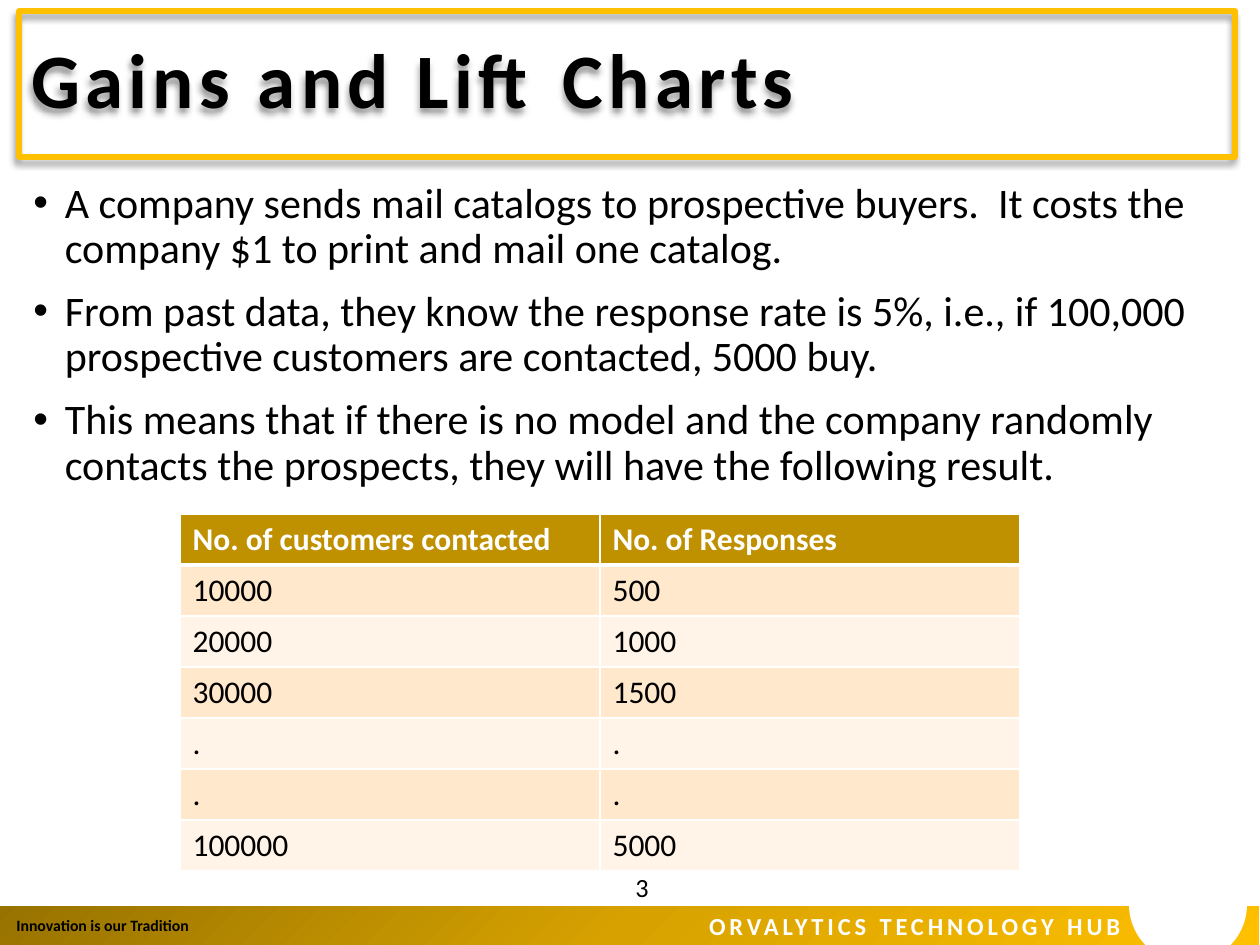
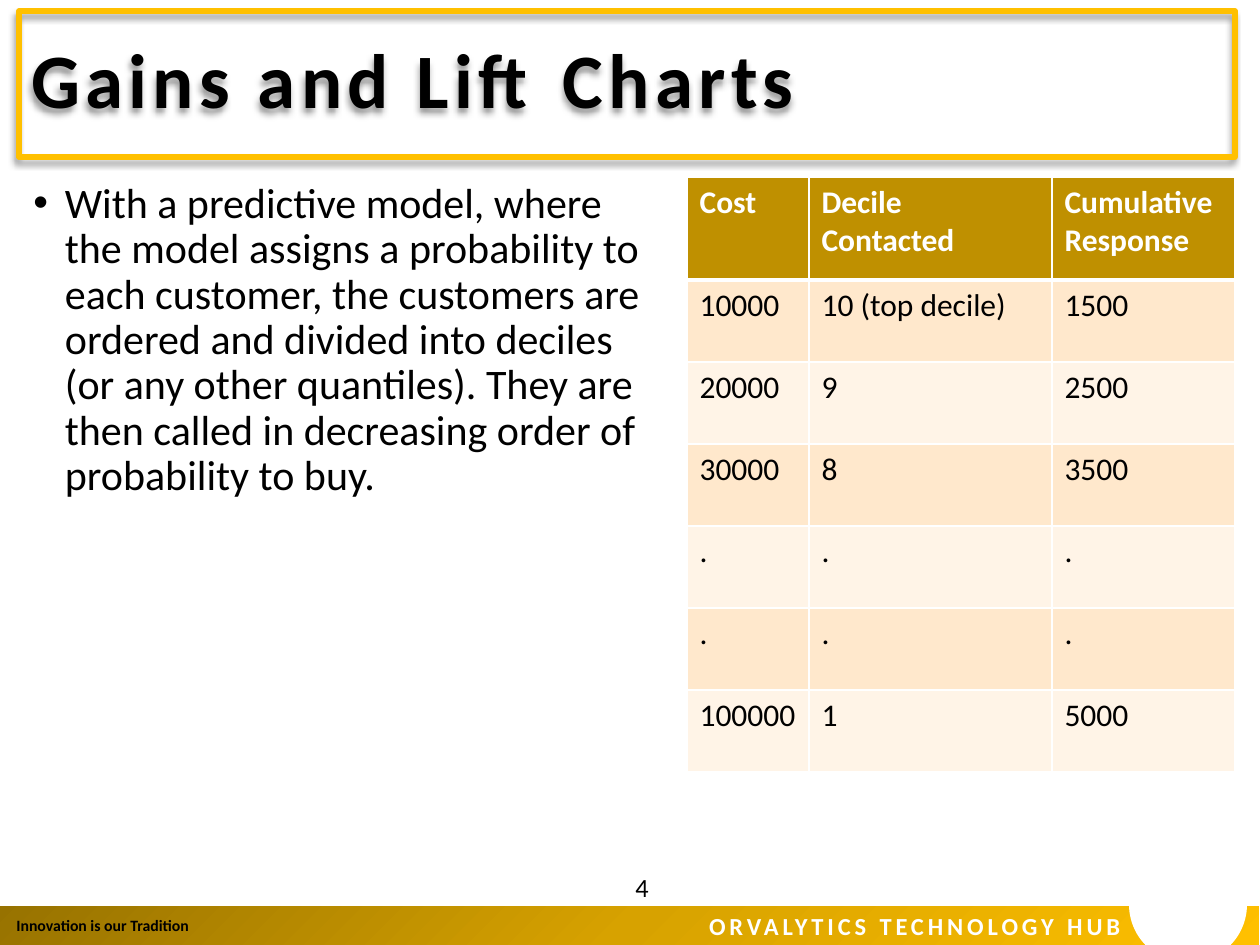
from pptx import Presentation
from pptx.dml.color import RGBColor
from pptx.enum.shapes import MSO_SHAPE
from pptx.enum.text import MSO_ANCHOR, PP_ALIGN
from pptx.oxml import parse_xml
from pptx.oxml.ns import nsdecls
from pptx.util import Pt

EMU_PER_PX = 914400 / 126
PAGE_WIDTH, PAGE_HEIGHT = 1260, 945
FONT = "Calibri"
COLORS = {
    "black": "000000",
    "white": "FFFFFF",
    "gold": "FFC000",
    "mid_gold": "D7A200",
    "dark_gold": "977200",
    "header": "BF9000",
    "odd_row": "FFE8CC",
    "even_row": "FFF4E7",
}
TITLE_BOX = (19, 11, 1216, 146)
FOOTER_BOX = (-3, 905, 1263, 41)


def px(length):
    return round(length * EMU_PER_PX)


def emu(box):
    return [px(length) for length in box]


def color(name):
    return RGBColor.from_string(COLORS[name])


def add_span(para, text, size, color_name="black", bold=False, spacing=0):
    span = para.add_run()
    span.text = text
    span.font.name = FONT
    span.font.size = Pt(size)
    span.font.bold = bold
    span.font.color.rgb = color(color_name)
    if spacing:
        span.font._element.set("spc", str(round(spacing * 100)))


def add_text_frame(page, box, wrap=True, anchor=MSO_ANCHOR.TOP):
    frame = page.shapes.add_textbox(*emu(box)).text_frame
    frame.word_wrap = wrap
    frame.vertical_anchor = anchor
    return frame


def add_plain_shape(page, kind, box):
    shape = page.shapes.add_shape(kind, *emu(box))
    shape.shadow.inherit = False
    return shape


def fill_with_gradient(shape, color_names):
    """Spread the colours evenly along a diagonal, starting at the left."""
    last = len(color_names) - 1
    stops = "".join(
        f'<a:gs pos="{100000 * index // last}"><a:srgbClr val="{COLORS[name]}"/></a:gs>'
        for index, name in enumerate(color_names)
    )
    properties = shape._element.spPr
    properties.prstGeom.addnext(parse_xml(
        f'<a:gradFill {nsdecls("a")} rotWithShape="1"><a:gsLst>{stops}</a:gsLst>'
        '<a:lin ang="2700000" scaled="0"/></a:gradFill>'
    ))


def add_title(page, text, box):
    frame_shape = add_plain_shape(page, MSO_SHAPE.RECTANGLE, box)
    frame_shape.fill.background()
    frame_shape.line.color.rgb = color("gold")
    frame_shape.line.width = Pt(3)
    effects = frame_shape._element.spPr.find(
        "{http://schemas.openxmlformats.org/drawingml/2006/main}effectLst")
    effects.append(parse_xml(
        f'<a:outerShdw {nsdecls("a")} blurRad="{Pt(4)}" dist="{Pt(3)}" dir="8100000"'
        f' rotWithShape="0"><a:srgbClr val="{COLORS["black"]}">'
        '<a:alpha val="40000"/></a:srgbClr></a:outerShdw>'
    ))
    frame = frame_shape.text_frame
    frame.word_wrap = True
    frame.vertical_anchor = MSO_ANCHOR.MIDDLE
    para = frame.paragraphs[0]
    para.alignment = PP_ALIGN.LEFT
    para.line_spacing = 0.9
    add_span(para, text, 44, bold=True, spacing=3)


def add_footer(page, number, box):
    left, top, width, height = box
    band = add_plain_shape(page, MSO_SHAPE.RECTANGLE, box)
    fill_with_gradient(band, ["dark_gold", "mid_gold", "gold"])
    band.line.color.rgb = color("white")
    band.line.width = Pt(1)

    owner = add_text_frame(page, (left + 246, top, 890, height + 2)).paragraphs[0]
    owner.alignment = PP_ALIGN.RIGHT
    add_span(owner, "ORVALYTICS TECHNOLOGY HUB", 14, "white", True, 2.2)

    tagline = add_text_frame(page, (left + 7, top + 5, 203, 32), wrap=False)
    add_span(tagline.paragraphs[0], "Innovation is our Tradition", 9, bold=True)

    number_box = (left + 503, top - 43, 284, 50)
    para = add_text_frame(page, number_box, anchor=MSO_ANCHOR.MIDDLE).paragraphs[0]
    para.alignment = PP_ALIGN.CENTER
    add_span(para, str(number), 15)

    notch = add_plain_shape(page, MSO_SHAPE.OVAL, (left + 1132, top - 59, 118, 117))
    notch.fill.solid()
    notch.fill.fore_color.rgb = color("white")
    notch.line.fill.background()


def add_bullets(page, texts, box):
    frame = add_text_frame(page, box)
    for index, text in enumerate(texts):
        para = frame.paragraphs[0] if index == 0 else frame.add_paragraph()
        para.line_spacing = 0.9
        para.space_before = Pt(10)
        properties = para._p.get_or_add_pPr()
        properties.set("marL", str(Pt(18)))
        properties.set("indent", str(-Pt(18)))
        properties.append(parse_xml(f'<a:buFont {nsdecls("a")} typeface="Arial"/>'))
        properties.append(parse_xml(f'<a:buChar {nsdecls("a")} char="•"/>'))
        add_span(para, text, 24)


def add_cell_borders(cell, bottom, top):
    properties = cell._tc.get_or_add_tcPr()
    for side, points in (("L", 1), ("R", 1), ("T", top), ("B", bottom)):
        properties.append(parse_xml(
            f'<a:ln{side} {nsdecls("a")} w="{Pt(points)}"><a:solidFill>'
            f'<a:srgbClr val="{COLORS["white"]}"/></a:solidFill></a:ln{side}>'
        ))


def add_data_table(page, rows, corner, column_widths, header_height, row_height):
    heights = [header_height] + [row_height] * (len(rows) - 1)
    size = (sum(column_widths), sum(heights))
    table = page.shapes.add_table(
        len(rows), len(column_widths), *emu(corner + size)).table
    for column, width in zip(table.columns, column_widths):
        column.width = px(width)
    for row_index, values in enumerate(rows):
        table.rows[row_index].height = px(heights[row_index])
        is_header = row_index == 0
        band = "odd_row" if row_index % 2 else "even_row"
        for column_index, value in enumerate(values):
            cell = table.cell(row_index, column_index)
            add_cell_borders(cell, bottom=3 if is_header else 1,
                             top=3 if row_index == 1 else 1)
            cell.fill.solid()
            cell.fill.fore_color.rgb = color("header" if is_header else band)
            add_span(cell.text_frame.paragraphs[0], value, 18,
                     "white" if is_header else "black", is_header)


def add_page(deck, number):
    page = deck.slides.add_slide(deck.slide_layouts[6])
    add_footer(page, number, FOOTER_BOX)
    add_title(page, "Gains and Lift Charts", TITLE_BOX)
    return page


def add_random_contact_page(deck):
    page = add_page(deck, 3)
    add_bullets(page, [
        "A company sends mail catalogs to prospective buyers.  It costs the "
        "company $1 to print and mail one catalog.",
        "From past data, they know the response rate is 5%, i.e., if 100,000 "
        "prospective customers are contacted, 5000 buy.",
        "This means that if there is no model and the company randomly "
        "contacts the prospects, they will have the following result.",
    ], (21, 176, 1212, 680))
    add_data_table(page, [
        ("No. of customers contacted", "No. of Responses"),
        ("10000", "500"),
        ("20000", "1000"),
        ("30000", "1500"),
        (".", "."),
        (".", "."),
        ("100000", "5000"),
    ], (180, 514), (420, 420), 51, 51)


def add_model_page(deck):
    page = add_page(deck, 4)
    add_bullets(page, [
        "With a predictive model, where the model assigns a probability to "
        "each customer, the customers are ordered and divided into deciles "
        "(or any other quantiles). They are then called in decreasing order "
        "of probability to buy.",
    ], (21, 176, 638, 680))
    add_data_table(page, [
        ("Cost", "Decile Contacted", "Cumulative Response"),
        ("10000", "10 (top decile)", "1500"),
        ("20000", "9", "2500"),
        ("30000", "8", "3500"),
        (".", ".", "."),
        (".", ".", "."),
        ("100000", "1", "5000"),
    ], (687, 177), (122, 243, 183), 103, 82)


def main():
    deck = Presentation()
    deck.slide_width = px(PAGE_WIDTH)
    deck.slide_height = px(PAGE_HEIGHT)
    add_random_contact_page(deck)
    add_model_page(deck)
    deck.save("out.pptx")


if __name__ == "__main__":
    main()
